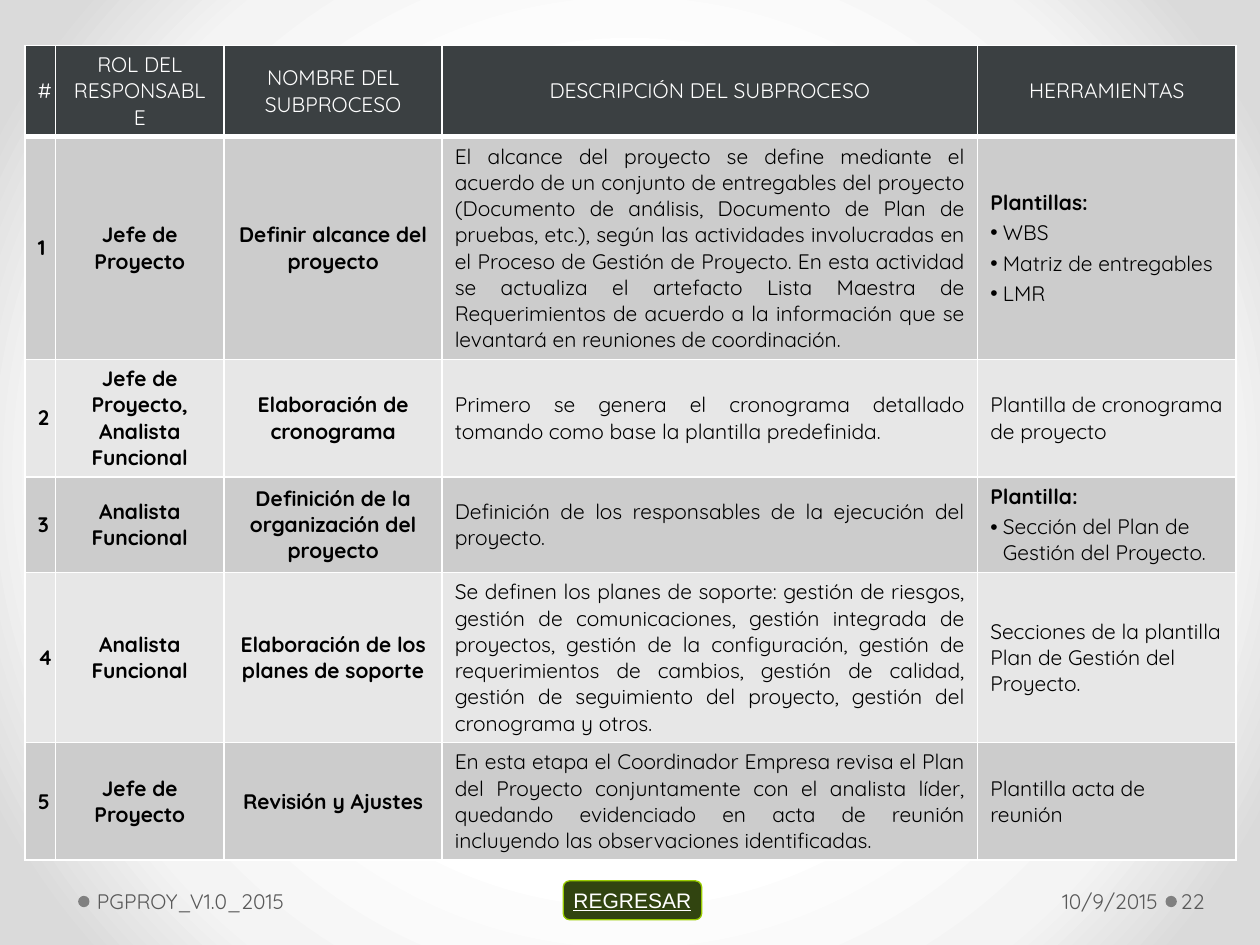
from lxml import etree
from pptx import Presentation
from pptx.dml.color import RGBColor
from pptx.enum.shapes import MSO_SHAPE
from pptx.enum.text import MSO_ANCHOR, PP_ALIGN
from pptx.oxml import parse_xml
from pptx.oxml.ns import nsdecls, qn
from pptx.util import Inches, Pt

WHITE = RGBColor(0xFF, 0xFF, 0xFF)
BLACK = RGBColor(0x00, 0x00, 0x00)
HEADER_FILL = RGBColor(0x3B, 0x40, 0x42)
BANDS = (RGBColor(0xCC, 0xCC, 0xCC), RGBColor(0xE7, 0xE7, 0xE7))
FOOTER_TEXT = RGBColor(0x59, 0x59, 0x59)
FOOTER_DOT = RGBColor(0x80, 0x80, 0x80)
BUTTON_FILL = RGBColor(0x31, 0x44, 0x10)
BUTTON_LINE = RGBColor(0x99, 0xCC, 0x00)
BACKGROUND_STOPS = ((50, "FFFFFF"), (76, "F4F4F4"), (92, "DADADA"))

FONT = "Quicksand"
BULLET = "•"
COLUMN_WIDTHS = (0.24, 1.34, 1.73, 4.25, 2.05)
ROW_HEIGHTS = (0.72, 1.76, 0.93, 0.75, 1.35, 0.93)
CENTER, JUSTIFY, LEFT = PP_ALIGN.CENTER, PP_ALIGN.JUSTIFY, PP_ALIGN.LEFT
COLUMN_ALIGNS = (CENTER, CENTER, CENTER, JUSTIFY, LEFT)

HEADERS = ("#", "ROL DEL RESPONSABLE", "NOMBRE DEL SUBPROCESO",
           "DESCRIPCIÓN DEL SUBPROCESO", "HERRAMIENTAS")
SUBPROCESSES = (
    ("Jefe de Proyecto", "Definir alcance del proyecto",
     "El alcance del proyecto se define mediante el acuerdo de un conjunto de "
     "entregables del proyecto (Documento de análisis, Documento de Plan de "
     "pruebas, etc.), según las actividades involucradas en el Proceso de "
     "Gestión de Proyecto. En esta actividad se actualiza el artefacto Lista "
     "Maestra de Requerimientos de acuerdo a la información que se levantará "
     "en reuniones de coordinación.",
     "Plantillas:\n•WBS\n•Matriz de entregables\n•LMR"),
    ("Jefe de Proyecto, Analista Funcional", "Elaboración de cronograma",
     "Primero se genera el cronograma detallado tomando como base la "
     "plantilla predefinida. ",
     "Plantilla de cronograma de proyecto"),
    ("Analista Funcional", "Definición de la organización del proyecto",
     "Definición de los responsables de la ejecución del proyecto. ",
     "Plantilla:\n•Sección del Plan de Gestión del Proyecto."),
    ("Analista Funcional", "Elaboración de los planes de soporte",
     "Se definen los planes de soporte: gestión de riesgos, gestión de "
     "comunicaciones, gestión integrada de proyectos, gestión de la "
     "configuración, gestión de requerimientos de cambios, gestión de "
     "calidad, gestión de seguimiento del proyecto, gestión del cronograma "
     "y otros.",
     "Secciones de la plantilla Plan de Gestión del Proyecto."),
    ("Jefe de Proyecto", "Revisión y Ajustes",
     "En esta etapa el Coordinador Empresa revisa el Plan del Proyecto "
     "conjuntamente con el analista líder, quedando evidenciado en acta de "
     "reunión incluyendo las observaciones identificadas.",
     "Plantilla acta de reunión"),
)


def set_attributes(target, values):
    for name, value in values.items():
        setattr(target, name, value)


def write_run(paragraph, text, color, font=FONT, **extra):
    run = paragraph.add_run()
    run.text = text
    set_attributes(run.font, {"name": font, "size": Pt(12), **extra})
    run.font.color.rgb = color


def set_background(slide):
    stops = "".join(f'<a:gs pos="{pos * 1000}"><a:srgbClr val="{color}"/></a:gs>'
                    for pos, color in BACKGROUND_STOPS)
    background = parse_xml(
        f'<p:bg {nsdecls("p", "a")}><p:bgPr><a:gradFill rotWithShape="1">'
        f'<a:gsLst>{stops}</a:gsLst><a:path path="circle">'
        '<a:fillToRect l="50000" t="50000" r="50000" b="50000"/></a:path>'
        '</a:gradFill><a:effectLst/></p:bgPr></p:bg>')
    slide.element.cSld.insert(0, background)


def add_bullet(paragraph):
    properties = paragraph._p.get_or_add_pPr()
    properties.set("marL", str(Inches(0.1)))
    properties.set("indent", str(Inches(-0.1)))
    etree.SubElement(properties, qn("a:buFont")).set("typeface", "Arial")
    etree.SubElement(properties, qn("a:buChar")).set("char", BULLET)


def set_borders(cell, bottom_width):
    properties = cell._tc.get_or_add_tcPr()
    widths = {"lnL": 1, "lnR": 1, "lnT": 1, "lnB": bottom_width}
    for position, (side, width) in enumerate(widths.items()):
        properties.insert(position, parse_xml(
            f'<a:{side} {nsdecls("a")} w="{Pt(width)}"><a:solidFill>'
            f'<a:srgbClr val="{WHITE}"/></a:solidFill></a:{side}>'))


def fill_cell(cell, text, align, color, fill, bold, border_bottom=1):
    cell.vertical_anchor = MSO_ANCHOR.MIDDLE
    cell.fill.solid()
    cell.fill.fore_color.rgb = fill
    set_borders(cell, border_bottom)
    frame = cell.text_frame
    for number, line in enumerate(text.split("\n")):
        paragraph = frame.add_paragraph() if number else frame.paragraphs[0]
        if line.startswith(BULLET):
            add_bullet(paragraph)
        paragraph.alignment = align
        if number:
            paragraph.space_before = Pt(2.4)
        write_run(paragraph, line.lstrip(BULLET), color,
                  bold=bold or line.endswith(":"))


def add_subprocess_table(slide, left, top):
    table = slide.shapes.add_table(
        len(ROW_HEIGHTS), len(COLUMN_WIDTHS), Inches(left), Inches(top),
        Inches(sum(COLUMN_WIDTHS)), Inches(sum(ROW_HEIGHTS))).table
    for column, width in zip(table.columns, COLUMN_WIDTHS):
        column.width = Inches(width)
    for row, height in zip(table.rows, ROW_HEIGHTS):
        row.height = Inches(height)
    for column, header in enumerate(HEADERS):
        fill_cell(table.cell(0, column), header, CENTER, WHITE, HEADER_FILL,
                  bold=False, border_bottom=3)
    for number, subprocess in enumerate(SUBPROCESSES, 1):
        band = BANDS[(number - 1) % 2]
        for column, text in enumerate((str(number), *subprocess)):
            fill_cell(table.cell(number, column), text, COLUMN_ALIGNS[column],
                      BLACK, band, bold=column < 3)


def add_footer(slide, top):
    # Round separators, centred on the text line
    for left in (0.62, 9.25):
        dot = slide.shapes.add_shape(MSO_SHAPE.OVAL, Inches(left),
                                     Inches(top + 0.16), Inches(0.09), Inches(0.09))
        dot.shadow.inherit = False
        dot.fill.solid()
        dot.fill.fore_color.rgb = FOOTER_DOT
        dot.line.fill.background()
    # Document code, date and page number
    for text, left, width, inset_left, inset_right, align in (
            ("PGPROY_V1.0_2015", 0.72, 3.96, 0.05, 0.1, LEFT),
            ("10/9/2015", 6.96, 2.28, 0.1, 0.05, PP_ALIGN.RIGHT),
            ("22", 9.34, 0.61, 0.03, 0.05, LEFT)):
        frame = slide.shapes.add_textbox(Inches(left), Inches(top), Inches(width),
                                         Inches(0.4)).text_frame
        set_attributes(frame, {
            "word_wrap": True, "vertical_anchor": MSO_ANCHOR.MIDDLE,
            "margin_left": Inches(inset_left), "margin_right": Inches(inset_right)})
        frame.paragraphs[0].alignment = align
        write_run(frame.paragraphs[0], text, FOOTER_TEXT)


def add_return_button(slide, left, top, width, height):
    button = slide.shapes.add_shape(
        MSO_SHAPE.FLOWCHART_ALTERNATE_PROCESS,
        Inches(left), Inches(top), Inches(width), Inches(height))
    button.shadow.inherit = False
    button.fill.solid()
    button.fill.fore_color.rgb = BUTTON_FILL
    button.line.color.rgb = BUTTON_LINE
    button.line.width = Pt(0.75)
    frame = button.text_frame
    set_attributes(frame, {"word_wrap": False, "vertical_anchor": MSO_ANCHOR.MIDDLE})
    frame.paragraphs[0].alignment = CENTER
    write_run(frame.paragraphs[0], "REGRESAR", WHITE, font="Arial", underline=True)


def main():
    presentation = Presentation()
    set_attributes(presentation, {"slide_width": Inches(10),
                                  "slide_height": Inches(7.5)})
    slide = presentation.slides.add_slide(presentation.slide_layouts[6])
    set_background(slide)
    add_subprocess_table(slide, 0.2, 0.36)
    add_footer(slide, 6.95)
    add_return_button(slide, 4.47, 6.99, 1.1, 0.31)
    presentation.save("out.pptx")


if __name__ == "__main__":
    main()
